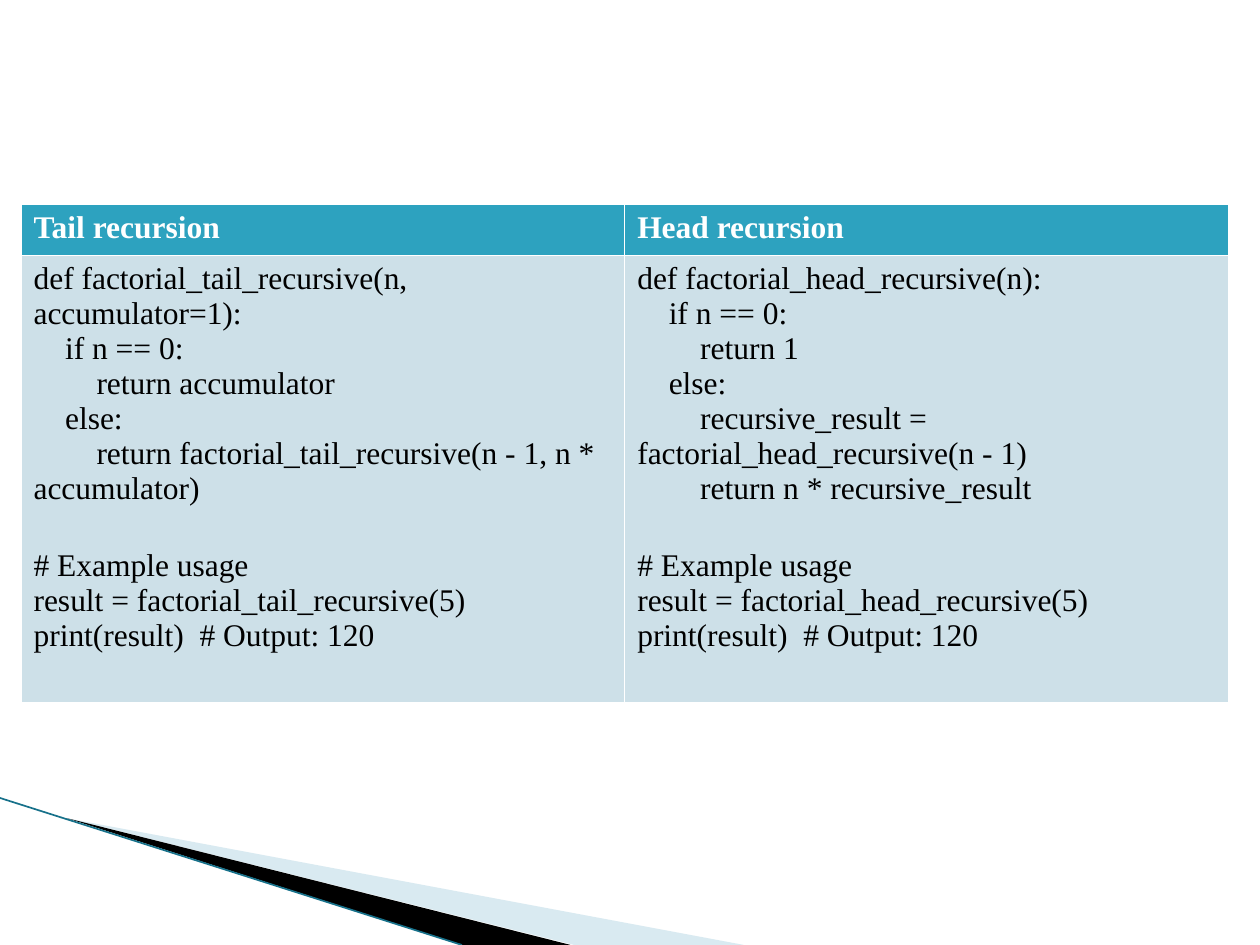
from lxml.etree import SubElement as Sub
from pptx import Presentation as Deck
from pptx.dml.color import RGBColor as Rgb
from pptx.enum.shapes import MSO_CONNECTOR as Link
from pptx.oxml.ns import qn
from pptx.util import Pt

HUES = {"head": "2DA2BF", "body": "CDE0E8", "white": "FFFFFF",
        "black": "000000", "pale": "A0CBDC", "line": "17718A"}
FONT = "Times New Roman"
SIZE = 18
GAP = 24.5

HEADS = ["Tail recursion", "Head recursion"]
CODE = [
    ["def factorial_tail_recursive(n, accumulator=1):",
     "    if n == 0:",
     "        return accumulator",
     "    else:",
     "        return factorial_tail_recursive(n - 1, n * accumulator)",
     "# Example usage",
     "result = factorial_tail_recursive(5)",
     "print(result)  # Output: 120"],
    ["def factorial_head_recursive(n):",
     "    if n == 0:",
     "        return 1",
     "    else:",
     "        recursive_result = factorial_head_recursive(n - 1)",
     "        return n * recursive_result",
     "# Example usage",
     "result = factorial_head_recursive(5)",
     "print(result)  # Output: 120"],
]
LEFT, TOP, WIDTH = 12, 116.5, 690
ROWS = [29.5, 255.5]
WEDGES = [
    ("pale", 40, (56, 394, 300, 114), [(40, 468), (425, 540), (328, 540)]),
    ("black", 100, (-4, 456, 300, 66), [(38, 467.5), (326, 540), (264, 540)]),
]
EDGE = (0, 456, 264, 540)


def hue(name):
    return Rgb.from_string(HUES[name])


def paint(fill, name):
    fill.solid()
    fill.fore_color.rgb = hue(name)


def reframe(shape, box):
    left, top, wide, high = map(Pt, box)
    trace = shape._element.find(".//" + qn("a:path"))
    for spot in trace.iter(qn("a:pt")):
        spot.set("x", str(int(spot.get("x")) + shape.left - left))
        spot.set("y", str(int(spot.get("y")) + shape.top - top))
    trace.set("w", str(wide))
    trace.set("h", str(high))
    shape.left, shape.top, shape.width, shape.height = left, top, wide, high


def wedge(slide, name, alpha, box, spots):
    first, *rest = [(Pt(x), Pt(y)) for x, y in spots]
    pen = slide.shapes.build_freeform(*first)
    pen.add_line_segments(rest, close=True)
    shape = pen.convert_to_shape()
    reframe(shape, box)
    shape.shadow.inherit = False
    paint(shape.fill, name)
    shape.line.fill.background()
    if alpha < 100:
        tint = shape.fill._xPr.find(".//" + qn("a:srgbClr"))
        Sub(tint, qn("a:alpha"), val=str(alpha * 1000))


def write(cell, lines, back, ink, bold):
    frame = cell.text_frame
    for i, line in enumerate(lines):
        para = frame.add_paragraph() if i else frame.paragraphs[0]
        if line.startswith("#"):
            para.space_before = Pt(GAP)
        run = para.add_run()
        run.text = line
        font = run.font
        font.name, font.size, font.bold = FONT, Pt(SIZE), bold
        font.color.rgb = hue(ink)
    paint(cell.fill, back)


def build():
    deck = Deck()
    deck.slide_width, deck.slide_height = Pt(720), Pt(540)
    slide = deck.slides.add_slide(deck.slide_layouts[6])
    for item in WEDGES:
        wedge(slide, *item)

    edge = slide.shapes.add_connector(Link.STRAIGHT, *map(Pt, EDGE))
    edge.line.color.rgb = hue("line")
    edge.line.width = Pt(0.95)
    Sub(edge._element.spPr, qn("a:effectLst"))

    grid = slide.shapes.add_table(len(ROWS), len(HEADS), Pt(LEFT), Pt(TOP),
                                  Pt(WIDTH), Pt(sum(ROWS))).table
    for row, high in zip(grid.rows, ROWS):
        row.height = Pt(high)
    for col, (head, code) in enumerate(zip(HEADS, CODE)):
        grid.columns[col].width = Pt(WIDTH / len(HEADS))
        write(grid.cell(0, col), [head], "head", "white", True)
        write(grid.cell(1, col), code, "body", "black", False)
    deck.save("out.pptx")


if __name__ == "__main__":
    build()
